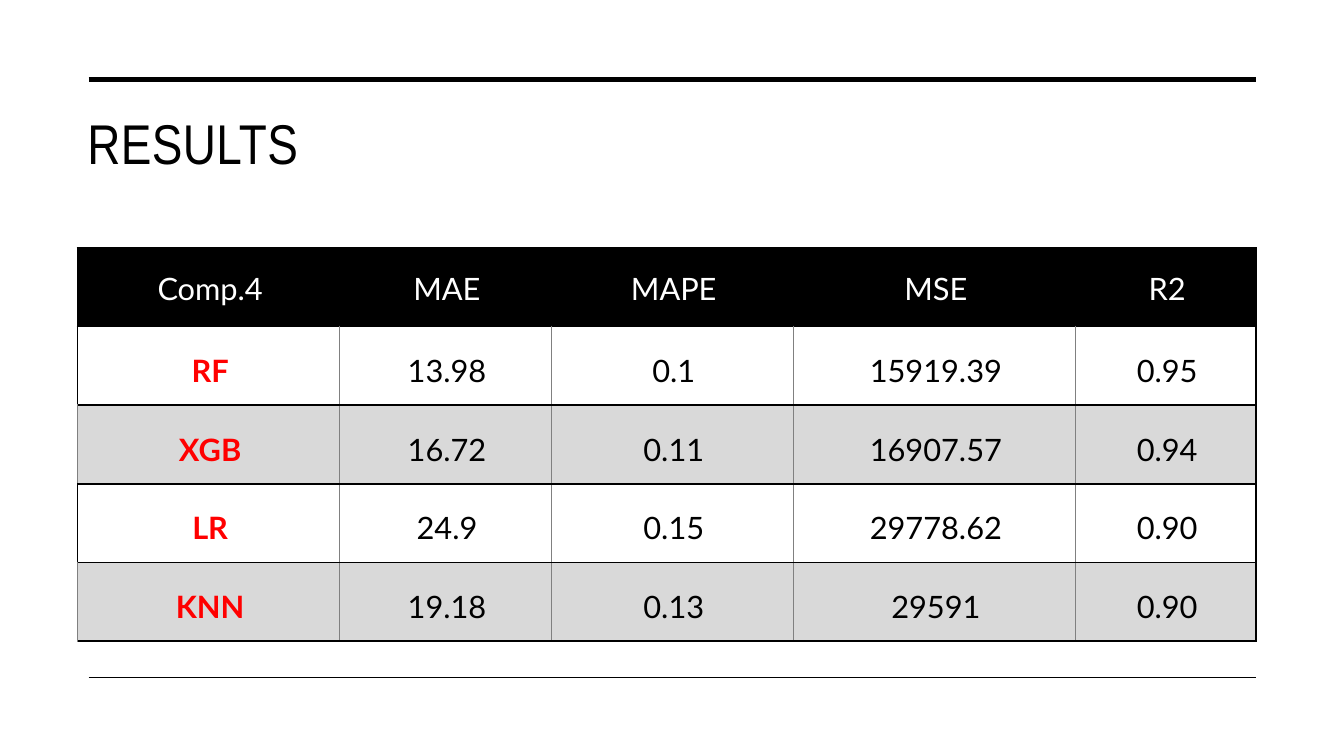
from dataclasses import dataclass

from lxml.etree import SubElement
from pptx import Presentation
from pptx.dml.color import RGBColor
from pptx.enum.shapes import MSO_CONNECTOR
from pptx.enum.text import MSO_ANCHOR, PP_ALIGN
from pptx.oxml import parse_xml
from pptx.oxml.ns import nsdecls, qn
from pptx.slide import Slide
from pptx.table import _Cell
from pptx.text.text import TextFrame
from pptx.util import Pt

BLACK, WHITE, RED, BAND = "000000", "FFFFFF", "FF0000", "D9D9D9"
TABLE_LEFT, TABLE_TOP, ROW_HEIGHT = 55.4, 177.1, 56.16
COLUMN_WIDTHS = [187.2, 151.2, 172.8, 201.6, 128.9]
HEADER = ["Comp.4", "MAE", "MAPE", "MSE", "R2"]
RULE_LEFT, RULE_RIGHT = 63.4, 897.1


@dataclass(frozen=True)
class Result:
    model: str
    mae: str
    mape: str
    mse: str
    r2: str

    def texts(self) -> list[str]:
        return [self.model, self.mae, self.mape, self.mse, self.r2]


@dataclass(frozen=True)
class Border:
    color: str
    width: float


@dataclass(frozen=True)
class Rule:
    top: float
    width: float


RESULTS = [
    Result("RF", "13.98", "0.1", "15919.39", "0.95"),
    Result("XGB", "16.72", "0.11", "16907.57", "0.94"),
    Result("LR", "24.9", "0.15", "29778.62", "0.90"),
    Result("KNN", "19.18", "0.13", "29591", "0.90"),
]
RULES = [Rule(56.9, 3.5), Rule(483.8, 1)]
THICK, THIN = Border(BLACK, 1.5), Border("808080", 0.5)


def rgb(color: str) -> RGBColor:
    return RGBColor.from_string(color)


def write_text(frame: TextFrame, text: str, *, font: str, size: float,
               color: str = BLACK, bold: bool = False,
               align: PP_ALIGN = PP_ALIGN.LEFT, line_spacing: float = 1.0,
               space_after: float = 0, letter_spacing: float = 0) -> None:
    frame.word_wrap = True
    paragraph = frame.paragraphs[0]
    paragraph.alignment = align
    paragraph.line_spacing = line_spacing
    paragraph.space_after = Pt(space_after)
    run = paragraph.add_run()
    run.text = text
    run.font.name = font
    run.font.size = Pt(size)
    run.font.bold = bold
    run.font.color.rgb = rgb(color)
    if letter_spacing:
        run._r.get_or_add_rPr().set("spc", str(round(letter_spacing * 100)))


def add_rule(slide: Slide, rule: Rule) -> None:
    connector = slide.shapes.add_connector(
        MSO_CONNECTOR.STRAIGHT, Pt(RULE_LEFT), Pt(rule.top), Pt(RULE_RIGHT), Pt(rule.top))
    connector.line.color.rgb = rgb(BLACK)
    connector.line.width = Pt(rule.width)
    SubElement(connector._element.spPr, qn("a:effectLst"))


def add_title(slide: Slide, text: str) -> None:
    box = slide.shapes.add_textbox(Pt(55.4), Pt(71.3), Pt(841.7), Pt(90.7))
    box.text_frame.margin_top = Pt(6)
    write_text(box.text_frame, text, font="Arial Narrow", size=40, letter_spacing=0.3)


def set_borders(cell: _Cell, left: Border, right: Border) -> None:
    """Draw the given sides, with thick lines above and below."""
    properties = cell._tc.get_or_add_tcPr()
    sides = {"lnL": left, "lnR": right, "lnT": THICK, "lnB": THICK}
    for index, (tag, border) in enumerate(sides.items()):
        properties.insert(index, parse_xml(
            f'<a:{tag} {nsdecls("a")} w="{Pt(border.width)}"><a:solidFill>'
            f'<a:srgbClr val="{border.color}"/></a:solidFill></a:{tag}>'))


def format_cell(cell: _Cell, text: str, row: int, column: int) -> None:
    is_header, is_banded = row == 0, row > 0 and row % 2 == 0
    is_model = column == 0 and not is_header
    cell.margin_left, cell.margin_right = Pt(14.4), Pt(12.2)
    cell.margin_top = cell.margin_bottom = Pt(11.5)
    cell.vertical_anchor = MSO_ANCHOR.MIDDLE if is_header else MSO_ANCHOR.BOTTOM
    if is_header or is_banded:
        cell.fill.solid()
        cell.fill.fore_color.rgb = rgb(BLACK if is_header else BAND)
    else:
        cell.fill.background()
    thick_left = is_header or (column == 0 and not is_banded)
    thick_right = is_header or column == len(HEADER) - 1
    set_borders(cell, THICK if thick_left else THIN, THICK if thick_right else THIN)
    color = WHITE if is_header else RED if is_model else BLACK
    write_text(cell.text_frame, text, font="Lato", size=22, color=color, bold=is_model,
               align=PP_ALIGN.CENTER, line_spacing=1.07, space_after=8)


def add_results_table(slide: Slide) -> None:
    rows = [HEADER] + [result.texts() for result in RESULTS]
    table = slide.shapes.add_table(
        len(rows), len(HEADER), Pt(TABLE_LEFT), Pt(TABLE_TOP),
        Pt(sum(COLUMN_WIDTHS)), Pt(ROW_HEIGHT * len(rows))).table
    table.horz_banding = False
    for column, width in zip(table.columns, COLUMN_WIDTHS):
        column.width = Pt(width)
    for row, texts in enumerate(rows):
        table.rows[row].height = Pt(ROW_HEIGHT)
        for column, text in enumerate(texts):
            format_cell(table.cell(row, column), text, row, column)


def main() -> None:
    presentation = Presentation()
    presentation.slide_width, presentation.slide_height = Pt(960), Pt(540)
    slide = presentation.slides.add_slide(presentation.slide_layouts[6])
    for rule in RULES:
        add_rule(slide, rule)
    add_title(slide, "RESULTS")
    add_results_table(slide)
    presentation.save("out.pptx")


if __name__ == "__main__":
    main()
